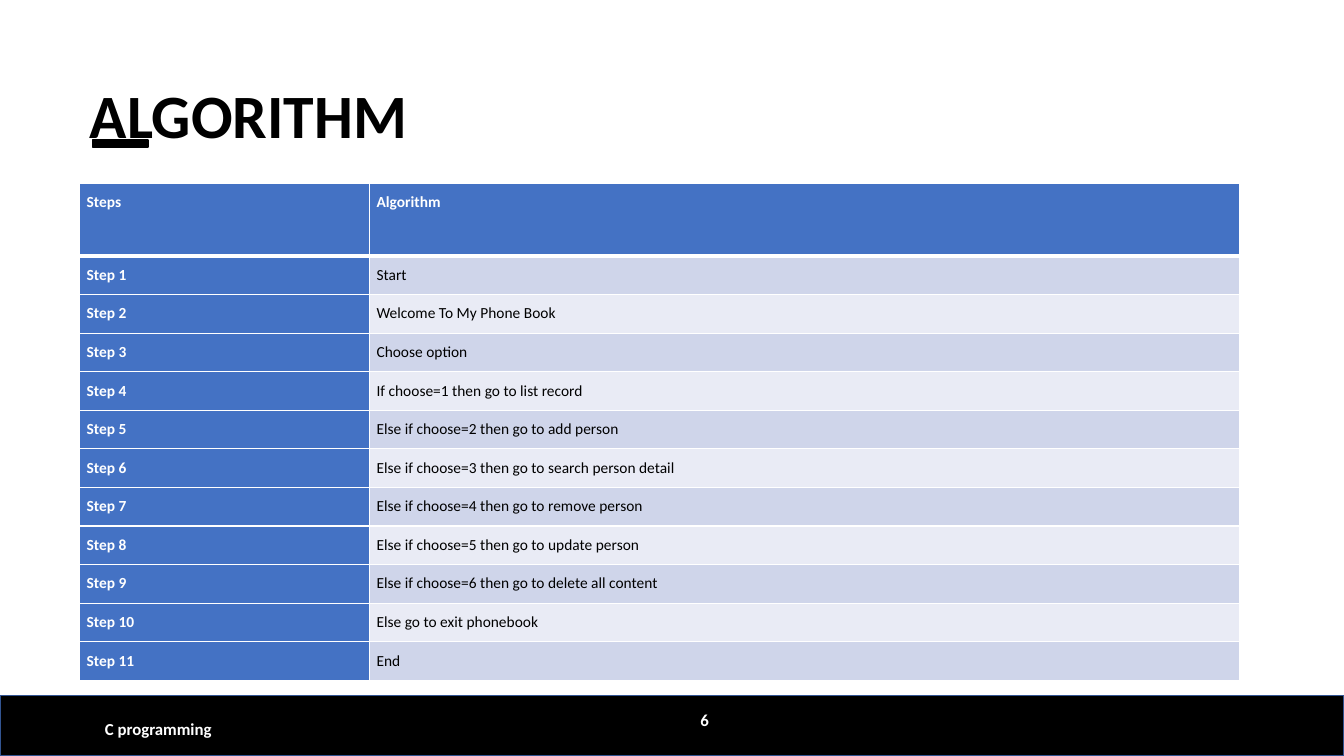
from lxml import etree
from pptx import Presentation
from pptx import util as u
from pptx.dml.color import RGBColor
from pptx.enum import shapes, text
from pptx.oxml import ns

BLACK = RGBColor(0, 0, 0)
WHITE = RGBColor(255, 255, 255)
BLUE = RGBColor(0x44, 0x72, 0xC4)
NAVY = RGBColor(0x32, 0x54, 0x91)
BANDS = [RGBColor(0xCF, 0xD5, 0xEA), RGBColor(0xE9, 0xEB, 0xF5)]

deck = Presentation()
deck.slide_width, deck.slide_height = u.Inches(13.33), u.Inches(7.5)
slide = deck.slides.add_slide(deck.slide_layouts[5])

# Shared grid: side margin, content width, footer top
left, wide, foot = u.Inches(0.79), u.Inches(11.5), u.Inches(6.9)


def write(frame, words, size=12, color=WHITE, bold=True,
          align=text.PP_ALIGN.LEFT, space=None, after=None):
    """Put one formatted paragraph into a text frame."""
    frame.word_wrap = True
    para = frame.paragraphs[0]
    para.alignment, para.line_spacing = align, space
    if after is not None:
        para.space_after = u.Pt(after)
    run = para.add_run()
    run.text = words
    run.font.name, run.font.size = "Calibri", u.Pt(size)
    run.font.bold, run.font.color.rgb = bold, color


def edge(cell, **sides):
    """Draw white cell borders; each side gives its width in points."""
    props = cell._tc.get_or_add_tcPr()
    for side, width in sides.items():
        line = etree.SubElement(props, ns.qn("a:ln" + side), w=str(u.Pt(width)))
        fill = etree.SubElement(line, ns.qn("a:solidFill"))
        etree.SubElement(fill, ns.qn("a:srgbClr"), val=str(WHITE))


# Footer band and title accent
bars = [
    (0, foot, deck.slide_width, deck.slide_height - foot, NAVY),
    (u.Inches(0.92), u.Inches(1.39), u.Inches(0.55), u.Inches(0.07), BLACK),
]
for x, y, w, h, rim in bars:
    bar = slide.shapes.add_shape(shapes.MSO_SHAPE.RECTANGLE, x, y, w, h)
    bar.shadow.inherit = False
    bar.fill.solid()
    bar.fill.fore_color.rgb = BLACK
    bar.line.color.rgb = rim
    bar.line.width = u.Pt(1)

# Title
title = slide.shapes.title
title.left, title.top = left, u.Inches(0.7)
title.width, title.height = wide, u.Inches(0.96)
title.text_frame.vertical_anchor = text.MSO_ANCHOR.MIDDLE
write(title.text_frame, "ALGORITHM", size=44, color=BLACK, space=0.9)

# Table of steps
tasks = ["list record", "add person", "search person detail",
         "remove person", "update person", "delete all content"]
steps = ["Start", "Welcome To My Phone Book", "Choose option"]
for num, task in enumerate(tasks, 1):
    lead = "If" if num == 1 else "Else if"
    steps.append(f"{lead} choose={num} then go to {task}")
steps += ["Else go to exit phonebook", "End"]
rows = [("Steps ", "Algorithm")]
rows += [(f"Step {num}", step) for num, step in enumerate(steps, 1)]

head, tall = u.Inches(0.72), u.Inches(4.93)
grid = slide.shapes.add_table(len(rows), 2, left, u.Inches(1.82), wide, tall).table
grid.columns[0].width = wide // 4
grid.columns[1].width = wide - wide // 4
for r, row in enumerate(rows):
    grid.rows[r].height = head if r == 0 else (tall - head) // len(steps)
    for c, words in enumerate(row):
        cell = grid.cell(r, c)
        key = r == 0 or c == 0
        cell.margin_left = cell.margin_right = u.Inches(0.07)
        cell.margin_top = cell.margin_bottom = 0
        edge(cell, L=1, R=1, T=3 if r == 1 else 1, B=3 if r == 0 else 1)
        cell.fill.solid()
        cell.fill.fore_color.rgb = BLUE if key else BANDS[(r - 1) % 2]
        write(cell.text_frame, words, size=11, bold=key,
              color=WHITE if key else BLACK,
              align=text.PP_ALIGN.JUSTIFY, space=1.5, after=10)

# Footer label and page number
notes = [("C programming", 0, 6.95, 3.14, text.PP_ALIGN.CENTER),
         ("6", 6.66, 6.87, 0.47, text.PP_ALIGN.RIGHT)]
for words, x, y, w, align in notes:
    box = slide.shapes.add_textbox(u.Inches(x), u.Inches(y), u.Inches(w), u.Inches(0.55))
    box.text_frame.vertical_anchor = text.MSO_ANCHOR.MIDDLE
    write(box.text_frame, words, align=align)

deck.save("out.pptx")
